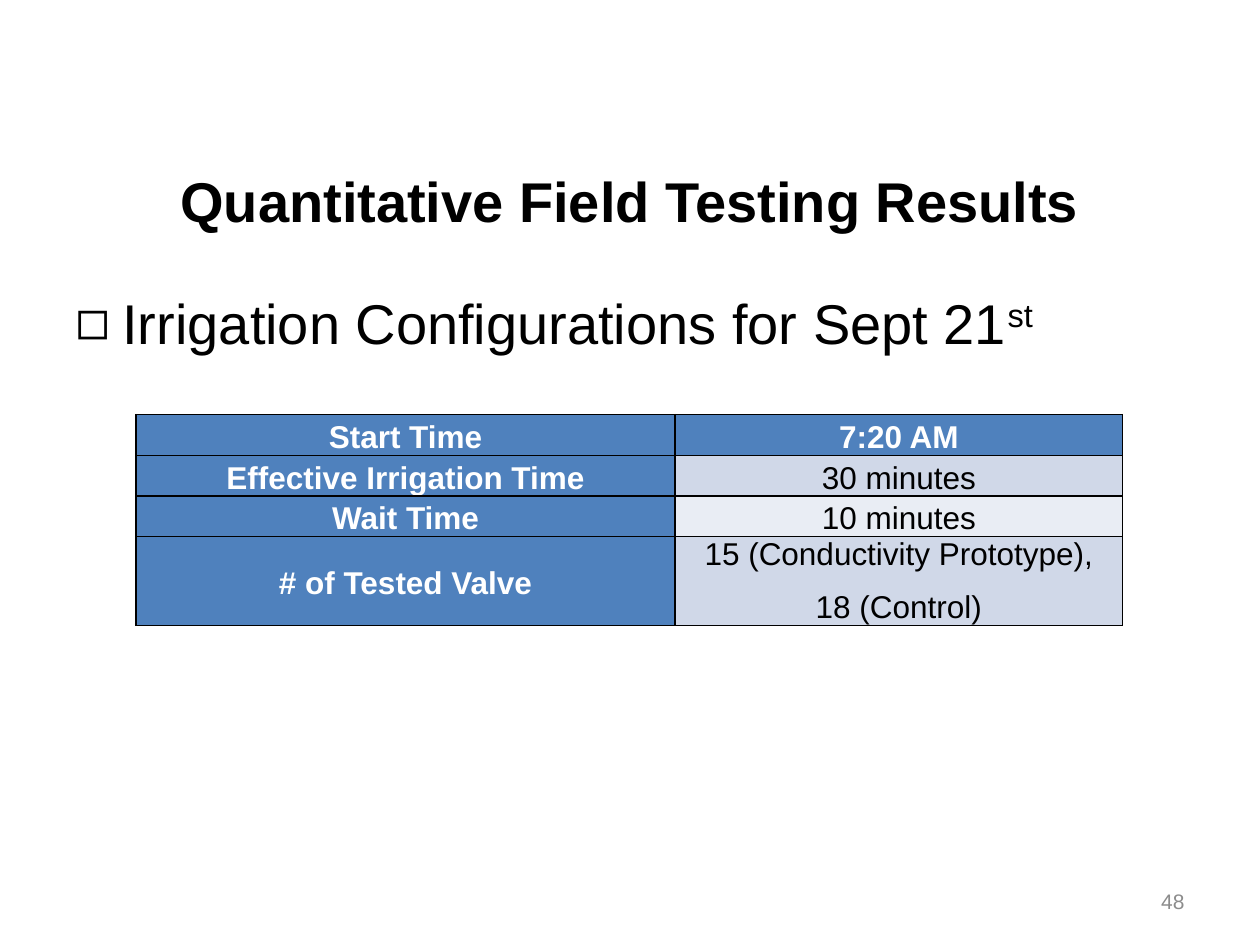
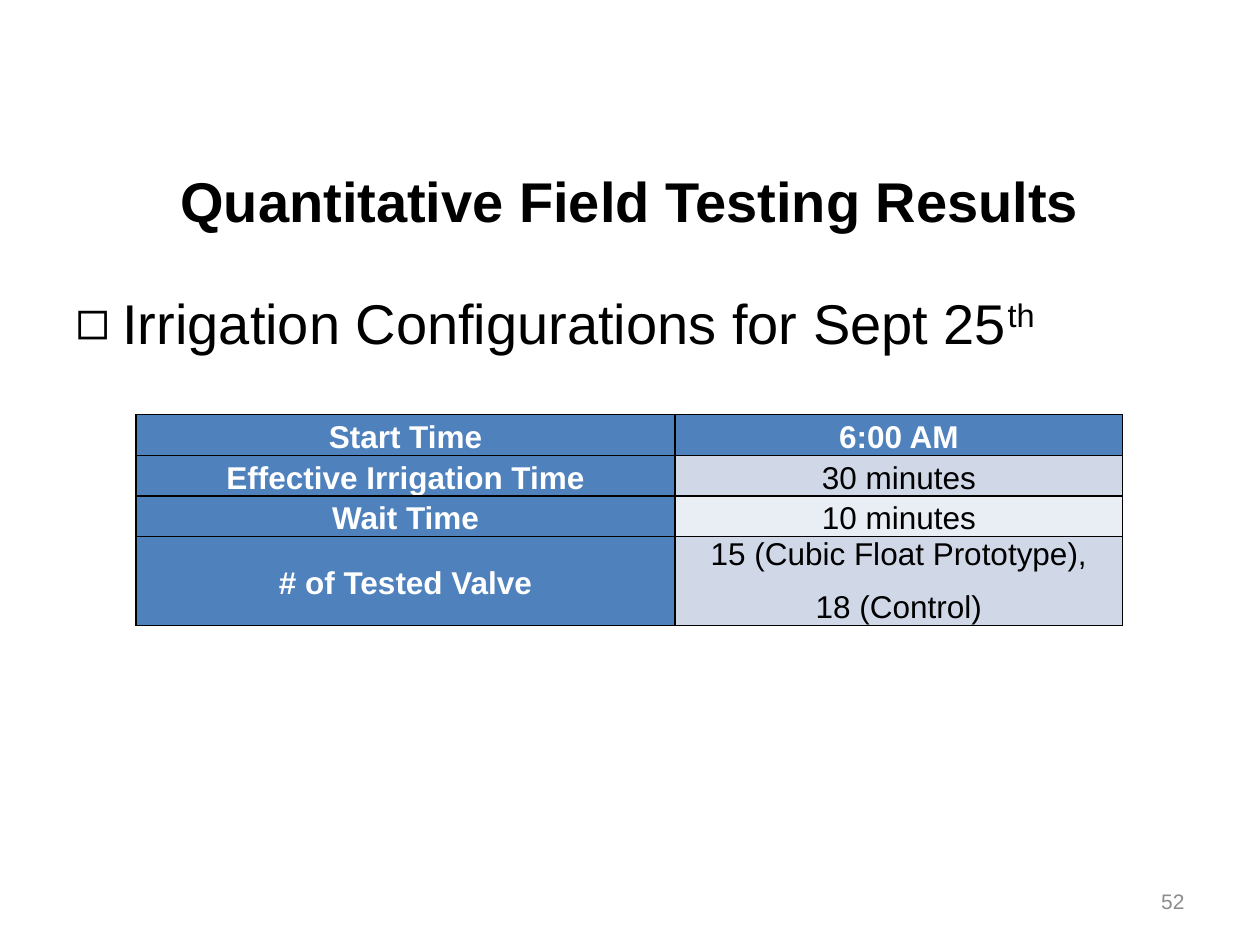
"""Build the two irrigation configuration slides of the field testing results."""
from lxml import etree
from pptx import Presentation
from pptx.dml.color import RGBColor
from pptx.enum.text import MSO_ANCHOR, MSO_AUTO_SIZE, PP_ALIGN
from pptx.oxml.ns import qn
from pptx.util import Cm, Pt

LEFT, CENTER, RIGHT = PP_ALIGN.LEFT, PP_ALIGN.CENTER, PP_ALIGN.RIGHT
TOP, MIDDLE = MSO_ANCHOR.TOP, MSO_ANCHOR.MIDDLE
NO_FIT = MSO_AUTO_SIZE.NONE
BLACK, WHITE, GREY = "000000", "FFFFFF", "8C8C8C"
BLUE, BAND_DARK, BAND_LIGHT = "4F81BD", "D0D8E8", "E9EDF4"
TITLE = {"size": Pt(32), "bold": True}
BODY = {"size": Pt(32), "bold": False}
NUMBER = {"size": Pt(12), "bold": False}
LABEL = {"size": Pt(18), "bold": True}
VALUE = {"size": Pt(18), "bold": False}
ROW_HEIGHTS = [0.81, 0.81, 0.81, 1.8]
COL_WIDTHS = [10.87, 9.02]

SLIDES = [
    ("21", "st", "7:20 AM", "15 (Conductivity Prototype),", "48"),
    ("25", "th", "6:00 AM", "15 (Cubic Float Prototype),", "52"),
]


def rgb(color):
    return RGBColor.from_string(color)


def write(p, text, style, color, align):
    p.alignment = align
    r = p.add_run()
    r.text = text
    r.font.name = "Arial"
    r.font.color.rgb = rgb(color)
    for name, value in style.items():
        setattr(r.font, name, value)
    return r


prs = Presentation()
prs.slide_width, prs.slide_height = Cm(25.4), Cm(19.05)

for day, suffix, start, prototype, number in SLIDES:
    s = prs.slides.add_slide(prs.slide_layouts[5])
    title = s.shapes.title
    title.left, title.top, title.width, title.height = Cm(1.27), Cm(2.92), Cm(22.86), Cm(2.24)
    body = s.shapes.add_textbox(Cm(1.27), Cm(5.69), Cm(22.86), Cm(11.33))
    footer = s.shapes.add_textbox(Cm(18.21), Cm(17.65), Cm(5.92), Cm(1.02))
    for sp, anchor in ((title, MIDDLE), (body, TOP), (footer, MIDDLE)):
        tf = sp.text_frame
        tf.word_wrap, tf.auto_size, tf.vertical_anchor = True, NO_FIT, anchor

    write(title.text_frame.paragraphs[0], "Quantitative Field Testing Results", TITLE, BLACK, CENTER)
    write(footer.text_frame.paragraphs[0], number, NUMBER, GREY, RIGHT)

    p = body.text_frame.paragraphs[0]
    pPr = p._p.get_or_add_pPr()
    pPr.set("marL", str(Cm(0.95)))
    pPr.set("indent", str(-Cm(0.95)))
    etree.SubElement(pPr, qn("a:buFont"), typeface="Arial")
    etree.SubElement(pPr, qn("a:buChar"), char="◻")
    write(p, f"Irrigation Configurations for Sept {day}", BODY, BLACK, LEFT)
    r = write(p, suffix, BODY, BLACK, LEFT)
    r.font._element.set("baseline", "30000")

    rows = [
        ("Start Time", [start], BLUE),
        ("Effective Irrigation Time", ["30 minutes"], BAND_DARK),
        ("Wait Time", ["10 minutes"], BAND_LIGHT),
        ("# of Tested Valve", [prototype, "18 (Control)"], BAND_DARK),
    ]
    table = s.shapes.add_table(len(rows), 2, Cm(2.74), Cm(8.36),
                               Cm(sum(COL_WIDTHS)), Cm(sum(ROW_HEIGHTS))).table
    for col, width in zip(table.columns, COL_WIDTHS):
        col.width = Cm(width)
    for i, (label, values, band) in enumerate(rows):
        table.rows[i].height = Cm(ROW_HEIGHTS[i])
        for j, (lines, fill) in enumerate((([label], BLUE), (values, band))):
            cell = table.cell(i, j)
            cell.vertical_anchor = MIDDLE
            cell.margin_left = cell.margin_right = Cm(0.18)
            cell.margin_top = cell.margin_bottom = 0
            style, color = (LABEL, WHITE) if fill == BLUE else (VALUE, BLACK)
            for k, line in enumerate(lines):
                p = cell.text_frame.add_paragraph() if k else cell.text_frame.paragraphs[0]
                p.space_after = Pt(10)
                p.line_spacing = 1.15 if len(lines) == 1 else 1.0
                write(p, line, style, color, CENTER)
            tcPr = cell._tc.get_or_add_tcPr()
            for side in ("lnL", "lnR", "lnT", "lnB"):
                ln = etree.SubElement(tcPr, qn(f"a:{side}"), w=str(Pt(1)))
                line_fill = etree.SubElement(ln, qn("a:solidFill"))
                etree.SubElement(line_fill, qn("a:srgbClr"), val=BLACK)
            cell.fill.solid()
            cell.fill.fore_color.rgb = rgb(fill)

prs.save("out.pptx")
